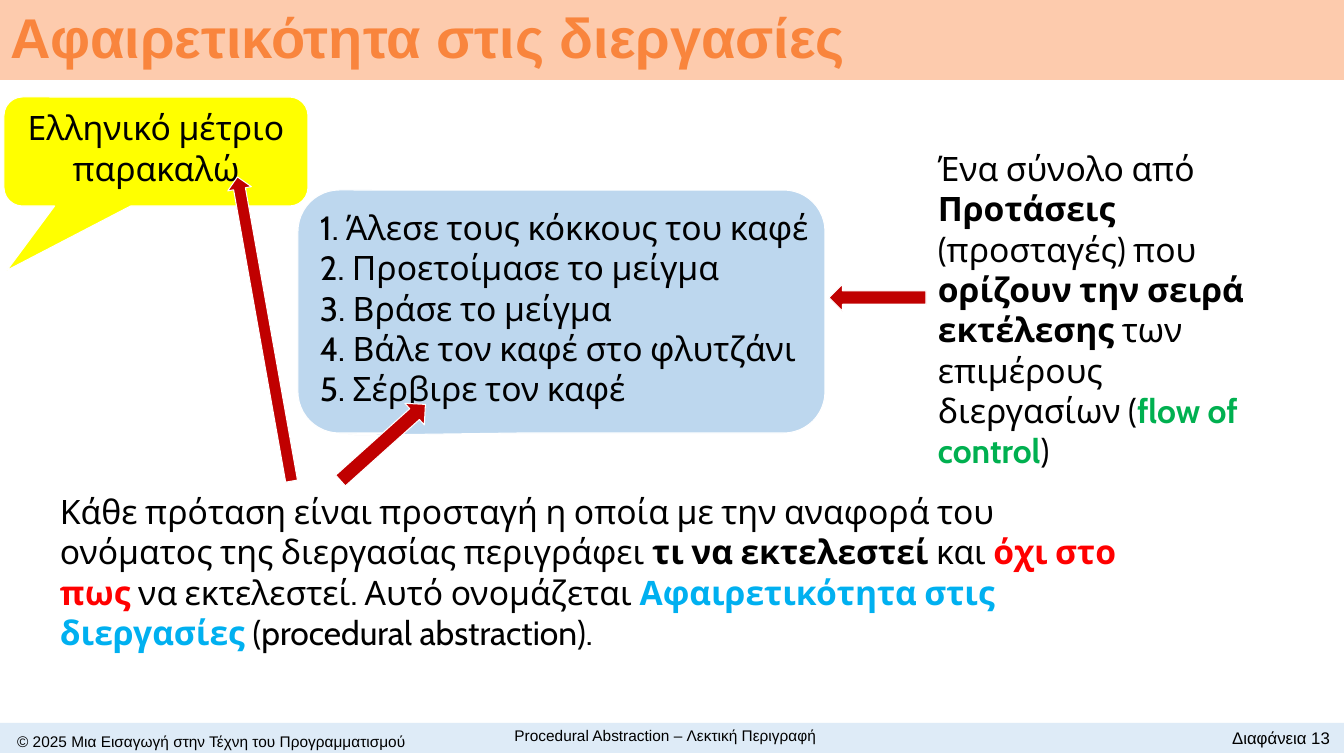
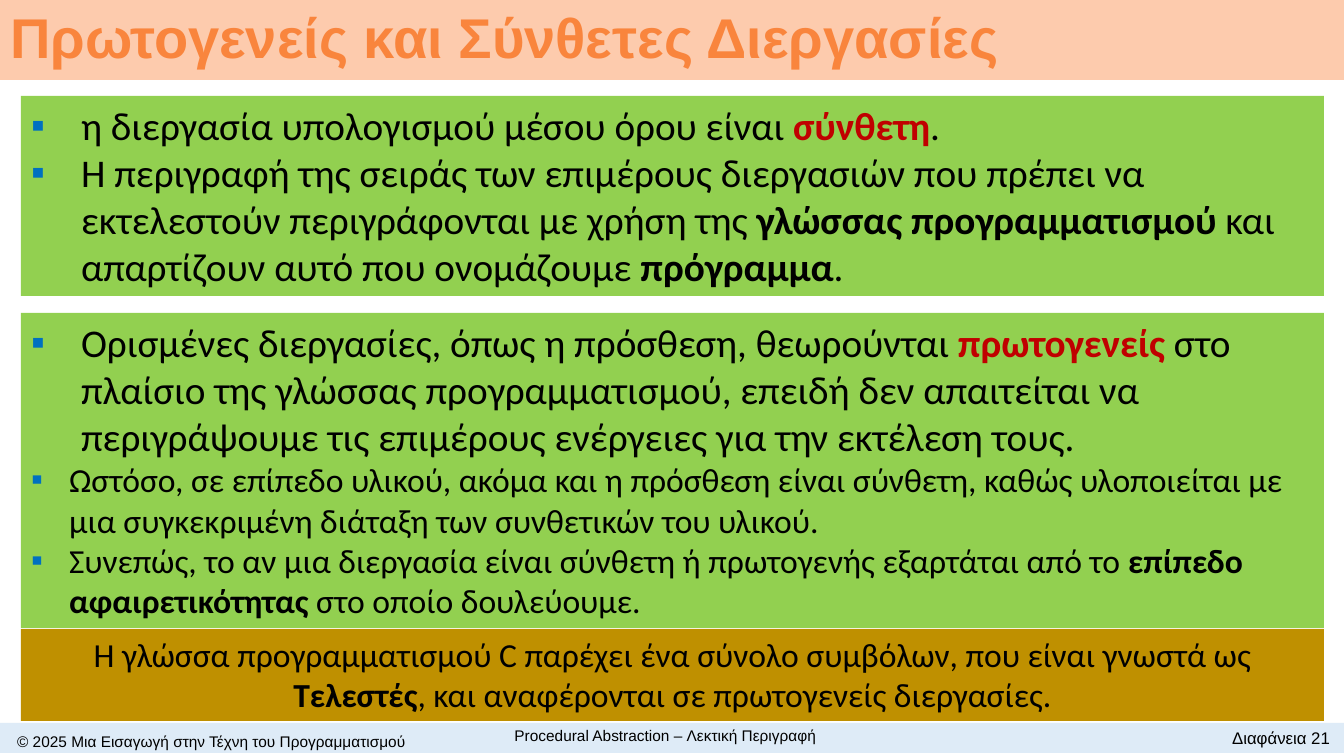
"""Build two lecture slides on procedural abstraction."""
from lxml.etree import SubElement
from pptx import Presentation
from pptx.dml.color import RGBColor
from pptx.enum.shapes import MSO_SHAPE
from pptx.enum.text import MSO_ANCHOR, MSO_AUTO_SIZE, PP_ALIGN
from pptx.oxml.ns import qn
from pptx.util import Emu, Pt

WIDTH, HEIGHT = 1344, 756
SCALE = 12192000 / WIDTH
TITLE_ONLY, TWO_CONTENT = 5, 3
BLACK, WHITE, RED = "000000", "FFFFFF", "C00000"
PEACH, ORANGE, PALE_BLUE = "FDCBAD", "F9853D", "DEEBF7"
GREEN, GOLD, BULLET_BLUE = "92D050", "BF9000", "0070C0"

FOOTERS = [
    ("© 2025 Μια Εισαγωγή στην Τέχνη του Προγραμματισμού", (0, 728, 423, 26)),
    ("Procedural Abstraction – Λεκτική Περιγραφή", (410, 720, 511, 30)),
]
NUMBER_BOX = (1132, 723, 208, 30)

# A plain string is a regular run; a (text, colour) pair is a bold run.
ORDER = [["Ελληνικό μέτριο"], ["παρακαλώ"]]
STEPS = [
    ["1. Άλεσε τους κόκκους του καφέ"],
    ["2. Προετοίμασε το μείγμα"],
    ["3. Βράσε το μείγμα"],
    ["4. Βάλε τον καφέ στο φλυτζάνι"],
    ["5. Σέρβιρε τον καφέ"],
]
CALLOUTS = [
    (STEPS, (298, 190, 527, 243), "BDD7EE", (-0.42, 0.51, 0.17), PP_ALIGN.LEFT),
    (ORDER, (4, 97, 304, 109), "FFFF00", (-0.49, 1.09, 0.17), PP_ALIGN.CENTER),
]
EXPLANATIONS = [
    (["Ένα σύνολο από ", ("Προτάσεις", BLACK), " (προσταγές) που ",
      ("ορίζουν την σειρά εκτέλεσης ", BLACK), "των επιμέρους διεργασίων (",
      ("flow of control", "00B050"), ")"], (928, 143, 360, 295)),
    (["Κάθε πρόταση είναι προσταγή η οποία με την αναφορά του ονόματος της "
      "διεργασίας περιγράφει ", ("τι να εκτελεστεί", BLACK), " και ",
      ("όχι στο πως ", "FF0000"), "να εκτελεστεί. Αυτό ονομάζεται ",
      ("Αφαιρετικότητα στις διεργασίες ", "00B0F0"),
      "(procedural abstraction)."], (50, 486, 1112, 173)),
]
ARROWS = [
    ((829, 284, 97, 27), 180),
    ((326, 428, 114, 29), 318.1),
    ((110, 317, 309, 24), 259.9),
]

LISTS = [
    ((21, 96, 1303, 200), [
        (28, 50, ["η διεργασία υπολογισμού μέσου όρου είναι ", ("σύνθετη", RED), "."]),
        (28, 50, ["Η περιγραφή της σειράς των επιμέρους διεργασιών που πρέπει να "
                  "εκτελεστούν περιγράφονται με χρήση της ",
                  ("γλώσσας προγραμματισμού", BLACK),
                  " και απαρτίζουν αυτό που ονομάζουμε ", ("πρόγραμμα", BLACK), "."]),
    ]),
    ((21, 313, 1303, 315), [
        (28, 50, ["Ορισμένες διεργασίες, όπως η πρόσθεση, θεωρούνται ",
                  ("πρωτογενείς", RED),
                  " στο πλαίσιο της γλώσσας προγραμματισμού, επειδή δεν απαιτείται να "
                  "περιγράψουμε τις επιμέρους ενέργειες για την εκτέλεση τους."]),
        (24, 38, ["Ωστόσο, σε επίπεδο υλικού, ακόμα και η πρόσθεση είναι σύνθετη, καθώς "
                  "υλοποιείται με μια συγκεκριμένη διάταξη των συνθετικών του υλικού."]),
        (24, 38, ["Συνεπώς, το αν μια διεργασία είναι σύνθετη ή πρωτογενής εξαρτάται "
                  "από το ", ("επίπεδο αφαιρετικότητας ", BLACK),
                  "στο οποίο δουλεύουμε."]),
    ]),
]
CONCLUSION = ["Η γλώσσα προγραμματισμού C παρέχει ένα σύνολο συμβόλων, που είναι γνωστά ως ",
              ("Τελεστές", BLACK), ", και αναφέρονται σε πρωτογενείς διεργασίες."]
CONCLUSION_BOX = (21, 629, 1303, 92)


def px(length):
    """Convert pixels to EMU."""
    return Emu(round(length * SCALE))


def color(value):
    """Turn a hex string into a colour."""
    return RGBColor.from_string(value)


def paint(shape, fill):
    """Give a shape a solid fill."""
    shape.fill.solid()
    shape.fill.fore_color.rgb = color(fill)


def place(shape, box):
    """Move and size a shape."""
    shape.left, shape.top, shape.width, shape.height = map(px, box)


def add_runs(paragraph, runs, font, size, ink=BLACK):
    """Add regular and bold runs to a paragraph."""
    for item in runs:
        text, run_ink = (item, ink) if isinstance(item, str) else item
        run = paragraph.add_run()
        run.text = text
        run.font.name = font
        run.font.size = Pt(size)
        run.font.bold = not isinstance(item, str)
        run.font.color.rgb = color(run_ink)


def write_text(shape, paragraphs, font="Cabin", size=24, align=PP_ALIGN.LEFT,
               anchor=MSO_ANCHOR.TOP, wrap=True, line_spacing=None):
    """Write formatted paragraphs into a shape."""
    frame = shape.text_frame
    frame.auto_size = MSO_AUTO_SIZE.NONE
    frame.word_wrap = wrap
    frame.vertical_anchor = anchor
    for index, runs in enumerate(paragraphs):
        paragraph = frame.add_paragraph() if index else frame.paragraphs[0]
        paragraph.alignment = align
        if line_spacing:
            paragraph.line_spacing = line_spacing
        add_runs(paragraph, runs, font, size)


def add_text(slide, box, paragraphs, **text_format):
    """Add a text box."""
    write_text(slide.shapes.add_textbox(*map(px, box)), paragraphs, **text_format)


def add_shape(slide, kind, box, fill, outlined=False):
    """Add a flat shape, with a thin white outline if asked."""
    shape = slide.shapes.add_shape(kind, *map(px, box))
    shape.shadow.inherit = False
    paint(shape, fill)
    if outlined:
        shape.line.color.rgb = color(WHITE)
        shape.line.width = Pt(0.75)
    else:
        shape.line.fill.background()
    return shape


def add_bullet(paragraph, indent):
    """Give a paragraph a square bullet and a hanging indent."""
    properties = paragraph._p.get_or_add_pPr()
    properties.set("marL", str(px(indent)))
    properties.set("indent", str(-px(indent)))
    bullet_color = SubElement(properties, qn("a:buClr"))
    SubElement(bullet_color, qn("a:srgbClr"), val=BULLET_BLUE)
    SubElement(properties, qn("a:buFont"), typeface="Arial")
    SubElement(properties, qn("a:buChar"), char="▪")


def fill_list(placeholder, box, items):
    """Turn a body placeholder into a green bulleted panel."""
    place(placeholder, box)
    paint(placeholder, GREEN)
    frame = placeholder.text_frame
    frame.auto_size = MSO_AUTO_SIZE.NONE
    for index, (size, indent, runs) in enumerate(items):
        paragraph = frame.add_paragraph() if index else frame.paragraphs[0]
        add_bullet(paragraph, indent)
        paragraph.space_before = Pt(0)
        add_runs(paragraph, runs, "Calibri", size)


def add_slide(presentation, layout, title, number):
    """Add a slide with the shared title band and footer."""
    slide = presentation.slides.add_slide(presentation.slide_layouts[layout])
    heading = slide.shapes.title
    place(heading, (0, 0, WIDTH, 80))
    paint(heading, PEACH)
    write_text(heading, [[(title, ORANGE)]], font="Arial", size=40,
               anchor=MSO_ANCHOR.MIDDLE, line_spacing=0.9)
    add_shape(slide, MSO_SHAPE.RECTANGLE, (0, 723, WIDTH, 30), PALE_BLUE)
    for text, box in FOOTERS:
        add_text(slide, box, [[text]], font="Arial", size=11,
                 align=PP_ALIGN.CENTER, anchor=MSO_ANCHOR.MIDDLE)
    add_text(slide, NUMBER_BOX, [[f"Διαφάνεια {number}"]], font="Arial", size=12,
             align=PP_ALIGN.RIGHT)
    return slide


def build_abstraction(presentation):
    """Build the slide with the coffee example."""
    slide = add_slide(presentation, TITLE_ONLY, "Αφαιρετικότητα στις διεργασίες", 13)
    for paragraphs, box, fill, adjustments, align in CALLOUTS:
        callout = add_shape(slide, MSO_SHAPE.ROUNDED_RECTANGULAR_CALLOUT, box, fill, True)
        for index, value in enumerate(adjustments):
            callout.adjustments[index] = value
        write_text(callout, paragraphs, align=align, wrap=False)
    for runs, box in EXPLANATIONS:
        add_text(slide, box, [runs])
    for box, rotation in ARROWS:
        add_shape(slide, MSO_SHAPE.RIGHT_ARROW, box, RED, True).rotation = rotation


def build_process_kinds(presentation):
    """Build the slide on primitive and compound processes."""
    slide = add_slide(presentation, TWO_CONTENT, "Πρωτογενείς και Σύνθετες Διεργασίες", 21)
    for index, (box, items) in enumerate(LISTS, start=1):
        fill_list(slide.placeholders[index], box, items)
    conclusion = add_shape(slide, MSO_SHAPE.RECTANGLE, CONCLUSION_BOX, GOLD)
    write_text(conclusion, [CONCLUSION], font="Calibri", align=PP_ALIGN.CENTER)


def main():
    """Build and save the presentation."""
    presentation = Presentation()
    presentation.slide_width, presentation.slide_height = px(WIDTH), px(HEIGHT)
    build_abstraction(presentation)
    build_process_kinds(presentation)
    presentation.save("out.pptx")


if __name__ == "__main__":
    main()
